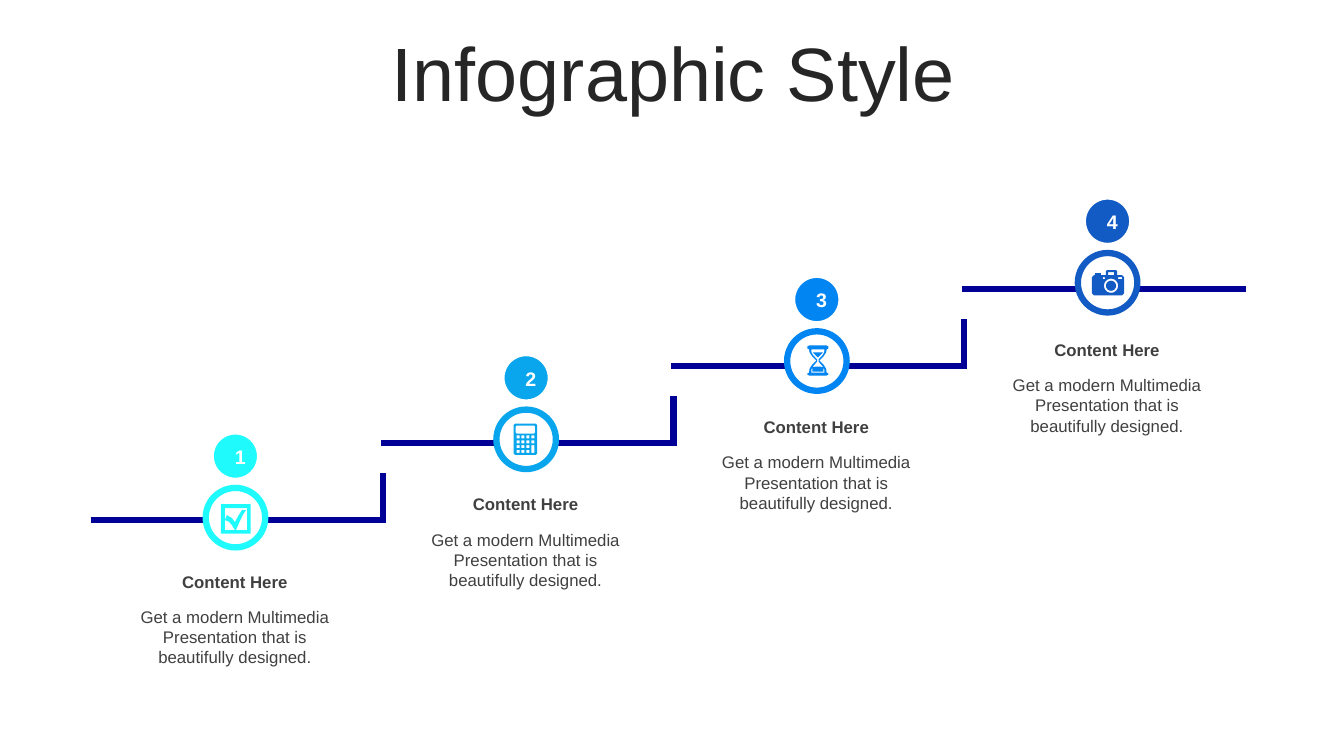
from math import cos, pi, sin

from lxml.etree import SubElement
from pptx import Presentation
from pptx.dml.color import RGBColor
from pptx.enum.shapes import MSO_CONNECTOR, MSO_SHAPE
from pptx.enum.text import MSO_ANCHOR, MSO_AUTO_SIZE, PP_ALIGN
from pptx.oxml.ns import qn
from pptx.util import Inches, Pt

WIDTH, HEIGHT = 13.33, 7.5
STEP_COLORS = ["1FFBFD", "0AA6ED", "0085F2", "125AC4"]
STAIR_COLOR, TEXT_COLOR = "000096", "404040"

# Distance from one step to the next, in inches
COLUMN = 8.65 / 3
MARKER_RISE = 2.33 / 3
TEXT_RISE = 2.3 / 3
STAIR_RUN, STAIR_RISE = 2.88, 2.29 / 3


def color(value):
    return RGBColor.from_string(value)


def write_text(shape, content, size=12, text_color=TEXT_COLOR, bold=False,
               anchor=MSO_ANCHOR.TOP, inset=0.05, spacing=None):
    frame = shape.text_frame
    frame.word_wrap = True
    frame.auto_size = MSO_AUTO_SIZE.NONE
    frame.vertical_anchor = anchor
    frame.margin_top = frame.margin_bottom = Inches(inset)
    paragraph = frame.paragraphs[0]
    paragraph.text = content
    paragraph.alignment = PP_ALIGN.CENTER
    paragraph.line_spacing = spacing
    font = paragraph.runs[0].font
    font.name, font.size, font.bold = "Arial", Pt(size), bold
    font.color.rgb = color(text_color)


def add_text(slide, box, content, **text_format):
    write_text(slide.shapes.add_textbox(*map(Inches, box)), content, **text_format)


def add_circle(slide, left, top, size, fill, line, line_width):
    circle = slide.shapes.add_shape(
        MSO_SHAPE.OVAL, Inches(left), Inches(top), Inches(size), Inches(size))
    circle.shadow.inherit = False
    circle.fill.solid()
    circle.fill.fore_color.rgb = color(fill)
    circle.line.color.rgb = color(line)
    circle.line.width = Pt(line_width)


def add_outline(slide, left, top, contours, closed=True):
    """Contours are lists of points in hundredths of an inch from left, top."""
    builder = None
    for contour in contours:
        points = [(x * 10, y * 10) for x, y in contour]
        if builder is None:
            builder = slide.shapes.build_freeform(*points[0], scale=Inches(0.001))
        else:
            builder.move_to(*points[0])
        builder.add_line_segments(points[1:], close=closed)
    outline = builder.convert_to_shape(Inches(left), Inches(top))
    outline.shadow.inherit = False
    return outline


# Contours of the icons
def rectangle(left, top, width, height, cut=0):
    right, bottom = left + width, top + height
    if not cut:
        return [(left, top), (right, top), (right, bottom), (left, bottom)]
    return [(left + cut, top), (right - cut, top), (right, top + cut),
            (right, bottom - cut), (right - cut, bottom), (left + cut, bottom),
            (left, bottom - cut), (left, top + cut)]


def ring(x, y, radius, count=36):
    return [(x + radius * cos(2 * pi * i / count), y + radius * sin(2 * pi * i / count))
            for i in range(count)]


def mirrored(half, axis=10.5):
    return ([(axis + x, y) for x, y in half]
            + [(axis - x, y) for x, y in reversed(half)])


def checkbox():
    tick_window = [(4, 4), (26, 4), (26, 26), (15, 26), (18, 19), (21.5, 11.5),
                   (25, 6), (21, 6), (17.5, 11.5), (14, 18), (11, 14), (6, 11),
                   (4, 16), (8, 17.5), (11, 21), (14, 26), (4, 26)]
    return [rectangle(0, 0, 29.5, 29.5), tick_window]


def calculator():
    keys = [rectangle(3 + 4.9 * column, 11.7 + 4.8 * row, 3, 3)
            for row in range(4) for column in range(4)
            if not (column == 3 and row >= 2)]
    tall_key = rectangle(17.7, 21.3, 3, 7.8)
    return [rectangle(0, 0, 23.5, 31, 1.5), rectangle(2, 2, 19.5, 7.8, 1),
            tall_key] + keys


def hourglass():
    glass = [(8.5, 0), (10.5, 1), (10.5, 3), (8.7, 4), (8.2, 7), (5.5, 11),
             (1.5, 15), (5.5, 19), (8.2, 23), (8.7, 27), (10.5, 28), (10.5, 29),
             (8.5, 30)]
    inside = [(6.5, 4), (6.3, 7), (4.5, 10), (0.7, 14), (0.7, 16), (4.5, 20.5),
              (6.5, 24), (6.5, 27)]
    upper_sand = [(5, 7), (4, 8), (0, 12)]
    lower_sand = [(0, 21), (3, 21.2), (5.5, 22), (5.5, 26)]
    return [mirrored(half) for half in (glass, inside, upper_sand, lower_sand)]


def camera():
    body = [(2, 5), (3, 5), (3, 3), (9, 3), (9, 5), (14, 5), (14, 1), (15, 0),
            (24, 0), (25, 1), (25, 5), (30, 5), (32, 7), (32, 23), (30, 25),
            (2, 25), (0, 23), (0, 7)]
    return [body, rectangle(16, 2, 6, 3), rectangle(11, 7, 2, 2),
            rectangle(26, 7, 4, 2), ring(19, 15.5, 7), ring(19, 15.5, 5)]


# Icon contours with their offset from the marker's ring
ICONS = [(checkbox(), 0.15, 0.16), (calculator(), 0.17, 0.14),
         (hourglass(), 0.2, 0.14), (camera(), 0.14, 0.17)]


def add_title(slide, box, content):
    title = slide.shapes.title
    title.left, title.top, title.width, title.height = map(Inches, box)
    write_text(title, content, size=54, text_color="262626",
               anchor=MSO_ANCHOR.MIDDLE, spacing=0.9)


def add_stairs(slide, left, top, count):
    for step in range(count - 1):
        tread = add_outline(slide, left + STAIR_RUN * step, top - STAIR_RISE * step,
                            [[(0, 0), (290, 0), (290, -47)]], closed=False)
        tread.fill.background()
        tread.line.color.rgb = color(STAIR_COLOR)
        tread.line.width = Pt(4.5)
        line_xml = tread._element.spPr.find(qn("a:ln"))
        SubElement(line_xml, qn("a:miter"), lim="800000")
    # Top landing
    start = left + STAIR_RUN * (count - 1)
    level = top - STAIR_RISE * (count - 1)
    landing = slide.shapes.add_connector(
        MSO_CONNECTOR.STRAIGHT, Inches(start), Inches(level),
        Inches(start + 2.82), Inches(level))
    landing.line.color.rgb = color(STAIR_COLOR)
    landing.line.width = Pt(4.5)
    SubElement(landing._element.spPr, qn("a:effectLst"))


def add_marker(slide, left, top, number, step_color, icon):
    add_circle(slide, left, top, 0.59, "FFFFFF", step_color, 4.5)
    add_circle(slide, left + 0.06, top - 0.55, 0.47, step_color, "FFFFFF", 3)
    add_text(slide, (left + 0.19, top - 0.43, 0.22, 0.24), str(number), size=14,
             text_color="FFFFFF", bold=True, anchor=MSO_ANCHOR.MIDDLE, inset=0)
    contours, icon_left, icon_top = icon
    drawing = add_outline(slide, left + icon_left, top + icon_top, contours)
    drawing.fill.solid()
    drawing.fill.fore_color.rgb = color(step_color)
    drawing.line.fill.background()


def add_caption(slide, left, top, heading, description):
    add_text(slide, (left, top, 2.36, 0.35), heading, bold=True)
    add_text(slide, (left, top + 0.35, 2.36, 0.71), description)


def main():
    presentation = Presentation()
    presentation.slide_width, presentation.slide_height = Inches(WIDTH), Inches(HEIGHT)
    slide = presentation.slides.add_slide(presentation.slide_layouts[5])
    add_title(slide, (0.35, 0.37, 12.66, 0.79), "Infographic Style")
    add_stairs(slide, 0.9, 5.16, len(STEP_COLORS))
    for step, (step_color, icon) in enumerate(zip(STEP_COLORS, ICONS)):
        add_marker(slide, 2.04 + COLUMN * step, 4.84 - MARKER_RISE * step,
                   step + 1, step_color, icon)
        add_caption(slide, 1.15 + COLUMN * step, 5.62 - TEXT_RISE * step, "Content Here",
                    "Get a modern Multimedia Presentation that is beautifully designed.")
    presentation.save("out.pptx")


if __name__ == "__main__":
    main()
